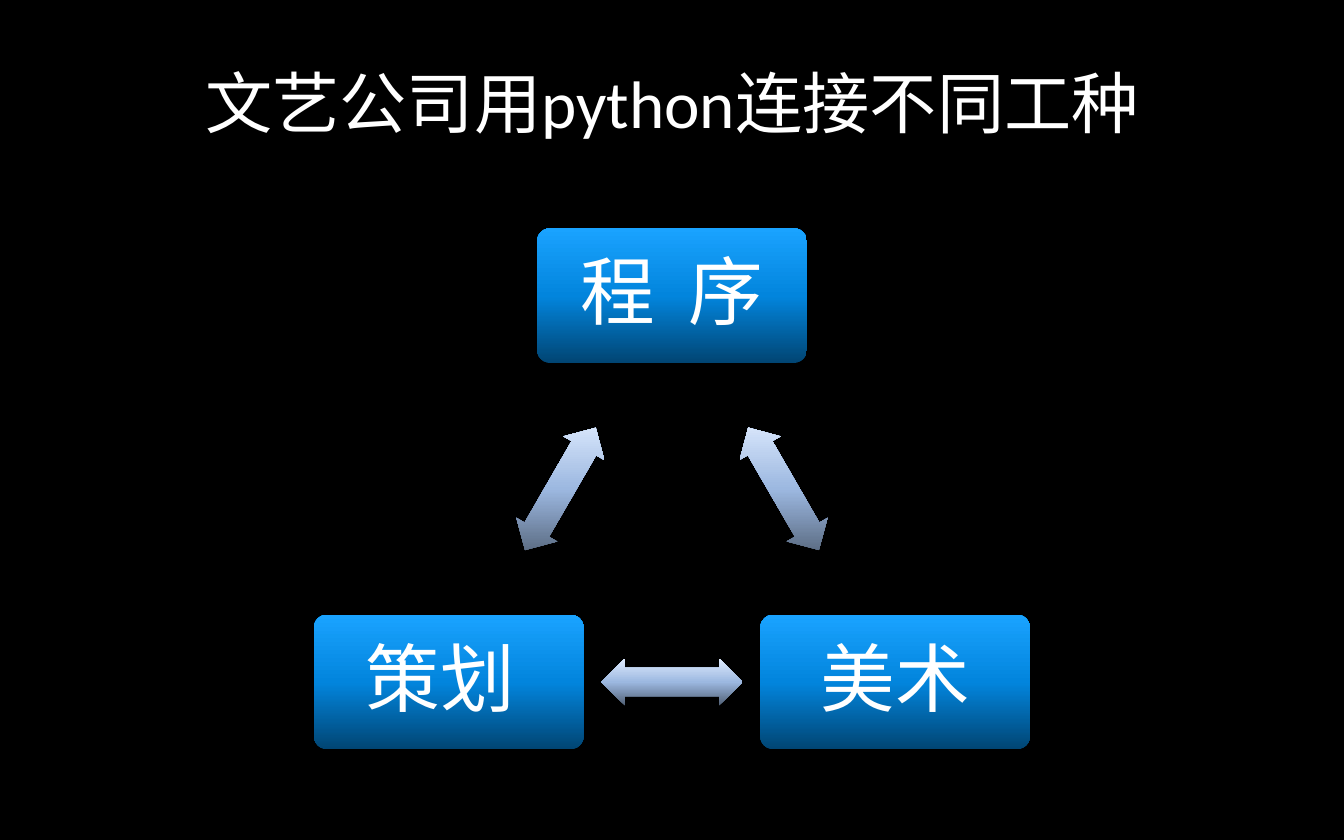
from dataclasses import dataclass
from itertools import pairwise
from math import atan2, cos, degrees, radians, sin

from lxml.etree import SubElement
from pptx import Presentation
from pptx.dml.color import RGBColor
from pptx.enum.shapes import MSO_SHAPE
from pptx.enum.text import MSO_ANCHOR, PP_ALIGN
from pptx.oxml.ns import qn
from pptx.util import Cm, Pt


@dataclass(frozen=True)
class Theme:
    background: str = "000000"
    text: str = "FFFFFF"
    box: tuple = ("014573", "0285DD", "1AA3FF")
    arrow: tuple = ("516075", "9CB8E0", "E0ECFF")
    title_font: str = "Calibri"
    box_font: str = "Lato"
    title_size: int = 36
    box_size: int = 40


theme = Theme()


def write(s, text, *, font, size, color=theme.text, spacing=None):
    tf = s.text_frame
    tf.word_wrap = True
    tf.vertical_anchor = MSO_ANCHOR.MIDDLE
    p = tf.paragraphs[0]
    p.alignment = PP_ALIGN.CENTER
    p.line_spacing = spacing
    r = p.add_run()
    r.text = text
    r.font.name = font
    r.font.size = Pt(size)
    r.font.color.rgb = RGBColor.from_string(color)


def add_gradient_shape(kind, center, size, colors):
    """Add an unlined shape whose three colours run upwards, whatever its rotation."""
    (x, y), (w, h) = center, size
    s = slide.shapes.add_shape(kind, Cm(x - w / 2), Cm(y - h / 2), Cm(w), Cm(h))
    s.shadow.inherit = False
    s.line.fill.background()
    s.fill.gradient()
    s.fill.gradient_angle = 90
    grad = s.fill._xPr.find(qn("a:gradFill"))
    grad.set("rotWithShape", "0")
    stops = grad.find(qn("a:gsLst"))
    for stop in list(stops):
        stops.remove(stop)
    for i, color in enumerate(colors):
        stop = SubElement(stops, qn("a:gs"), pos=str(i * 50000))
        SubElement(stop, qn("a:srgbClr"), val=color)
    return s


prs = Presentation()
prs.slide_width, prs.slide_height = Cm(25.4), Cm(15.88)
slide = prs.slides.add_slide(prs.slide_layouts[5])
slide.background.fill.solid()
slide.background.fill.fore_color.rgb = RGBColor.from_string(theme.background)

title = slide.shapes.title
title.left, title.top, title.width, title.height = Cm(1.9), Cm(0.28), Cm(21.6), Cm(3.3)
write(title, "文艺公司用python连接不同工种", font=theme.title_font, size=theme.title_size)

# The three crafts stand at the corners of an equilateral triangle, clockwise from the top.
crafts = ["程  序", "美术", "策划 "]
center_x, center_y, radius = 12.7, 10.46, 4.87
corners = []
for i, craft in enumerate(crafts):
    angle = radians(120 * i - 90)
    corner = center_x + radius * cos(angle), center_y + radius * sin(angle)
    corners.append(corner)
    s = add_gradient_shape(MSO_SHAPE.ROUNDED_RECTANGLE, corner, (5.1, 2.55), theme.box)
    s.adjustments[0] = 0.1
    write(s, craft, font=theme.box_font, size=theme.box_size, spacing=0.9)

# A double arrow sits midway along each side of the triangle.
for (x1, y1), (x2, y2) in pairwise(corners + corners[:1]):
    middle = (x1 + x2) / 2, (y1 + y2) / 2
    s = add_gradient_shape(MSO_SHAPE.LEFT_RIGHT_ARROW, middle, (2.67, 0.89), theme.arrow)
    s.adjustments[0], s.adjustments[1] = 0.6, 0.5
    s.rotation = round(degrees(atan2(y2 - y1, x2 - x1))) % 360

prs.save("out.pptx")
